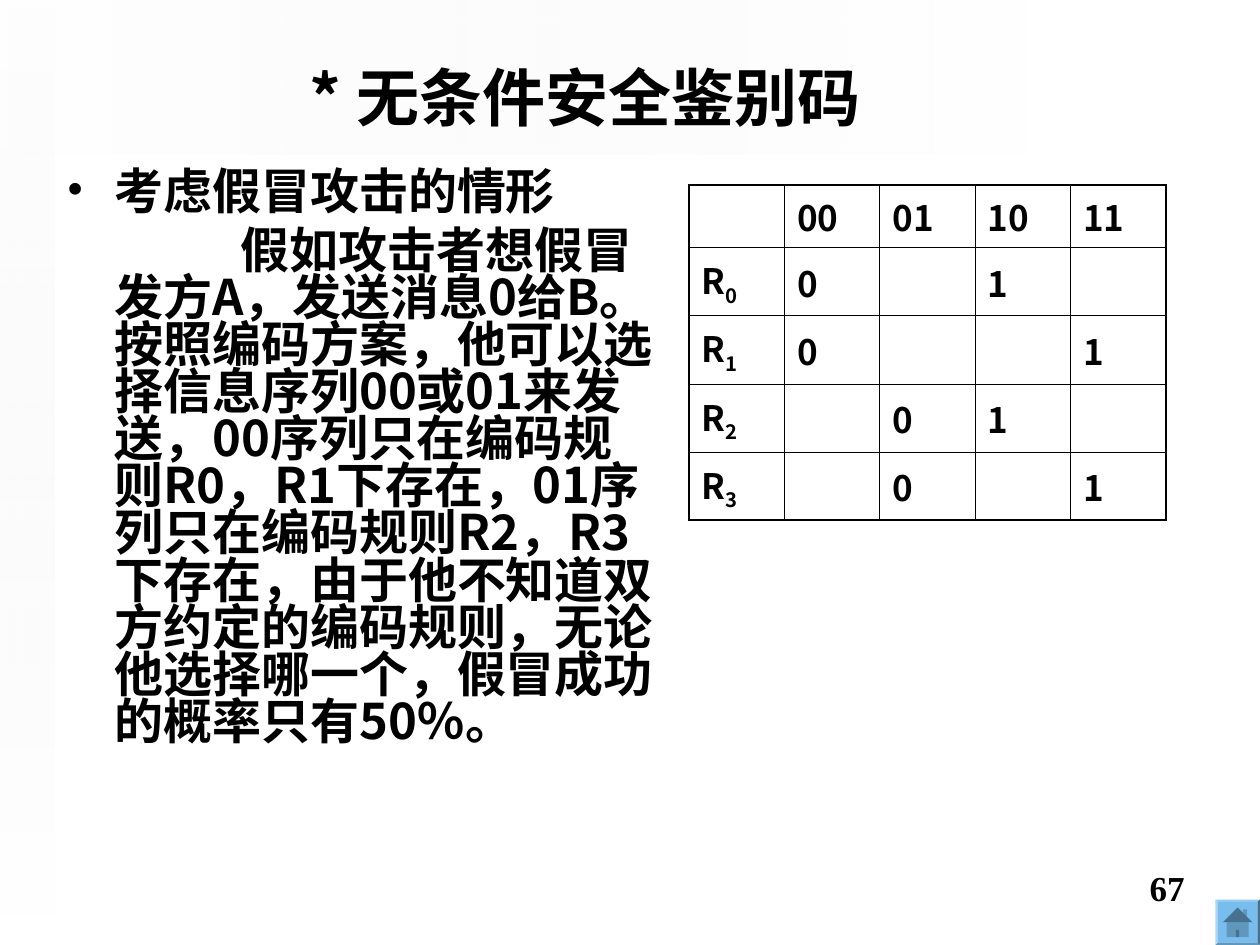
from dataclasses import dataclass

from lxml.etree import SubElement
from pptx import Presentation
from pptx.dml.color import RGBColor
from pptx.enum.shapes import MSO_SHAPE as Shape
from pptx.enum.text import MSO_ANCHOR as Anchor, MSO_AUTO_SIZE as Fit, PP_ALIGN as Align
from pptx.oxml.ns import qn
from pptx.util import Pt

SANS = "Noto Sans CJK SC"
SERIF = "Times New Roman"
BLACK = "000000"
THIN, THICK = 0.45, 1.08
MARGIN = 27.4


@dataclass
class Box:
    left: float
    top: float
    width: float
    height: float

    def place(self) -> list:
        return [Pt(v) for v in (self.left, self.top, self.width, self.height)]

    def inset(self, gap: float) -> "Box":
        return Box(self.left + gap, self.top + gap, self.width - 2 * gap, self.height - 2 * gap)


@dataclass
class Band:
    box: Box
    turn: int
    alpha: int


@dataclass
class Item:
    text: str
    indent: float
    bullet: bool
    before: float


BANDS = [
    Band(Box(249.12, -249.12, 88.56, 586.8), 90, 49),
    Band(Box(0, 0, 30.96, 522.72), 180, 65),
]
ITEMS = [
    Item("考虑假冒攻击的情形", -MARGIN, True, 0),
    Item("假如攻击者想假冒发方A，发送消息0给B。按照编码方案，他可以选择信息序列00或01来发送，"
         "00序列只在编码规则R0，R1下存在，01序列只在编码规则R2，R3下存在，"
         "由于他不知道双方约定的编码规则，无论他选择哪一个，假冒成功的概率只有50％。", 72, False, 7),
]
CODES = [
    ["", "00", "01", "10", "11"],
    ["R0", "0", "", "1", ""],
    ["R1", "0", "", "", "1"],
    ["R2", "", "0", "1", ""],
    ["R3", "", "0", "", "1"],
]


def color(code: str) -> RGBColor:
    return RGBColor.from_string(code)


def style(para, size: float, face: str = SANS) -> None:
    for run in para.runs:
        font = run.font
        font.size, font.name, font.bold = Pt(size), face, True
        font.color.rgb = color(BLACK)
        SubElement(run._r.get_or_add_rPr(), qn("a:ea"), typeface=face)


def draw_band(slide, band: Band) -> None:
    """Draw a strip that fades in from clear grey to half-clear white."""
    shape = slide.shapes.add_shape(Shape.RECTANGLE, *band.box.place())
    shape.rotation = band.turn
    shape.shadow.inherit = False
    shape.line.fill.background()
    shape.fill.gradient()
    shape.fill.gradient_angle = 90
    tones = (("EAEAEA", 0), ("FFFFFF", band.alpha))
    for stop, (code, alpha) in zip(shape.fill.gradient_stops, tones):
        stop.color.rgb = color(code)
    marks = shape._element.spPr.iter(qn("a:srgbClr"))
    for mark, (code, alpha) in zip(list(marks), tones):
        SubElement(mark, qn("a:alpha"), val=str(alpha * 1000))


def draw_home(slide, box: Box) -> None:
    edge = 1.5
    parts = ((Shape.BEVEL, box), (Shape.ACTION_BUTTON_HOME, box.inset(edge)))
    for kind, area in parts:
        shape = slide.shapes.add_shape(kind, *area.place())
        shape.shadow.inherit = False
        shape.fill.solid()
        shape.fill.fore_color.rgb = color("77BDED")
        shape.line.fill.background()
        if kind == Shape.BEVEL:
            shape.adjustments[0] = edge / box.width


def draw_title(slide, box: Box, text: str) -> None:
    title = slide.shapes.title
    title.left, title.top, title.width, title.height = box.place()
    slide.shapes._spTree.append(title._element)
    frame = title.text_frame
    frame.text = text
    frame.auto_size = Fit.NONE
    frame.vertical_anchor = Anchor.MIDDLE
    para = frame.paragraphs[0]
    para.alignment = Align.CENTER
    style(para, 36)


def draw_body(slide, box: Box, items: list[Item]) -> None:
    frame = slide.shapes.add_textbox(*box.place()).text_frame
    frame.word_wrap = True
    for num, item in enumerate(items):
        para = frame.add_paragraph() if num else frame.paragraphs[0]
        para.text = item.text
        props = para._p.get_or_add_pPr()
        props.set("marL", str(Pt(MARGIN)))
        props.set("indent", str(Pt(item.indent)))
        props.set("hangingPunct", "0")
        if item.bullet:
            SubElement(props, qn("a:buFont"), typeface=SERIF)
            SubElement(props, qn("a:buChar"), char="•")
        para.line_spacing = 0.8
        para.space_before = Pt(item.before)
        style(para, 28)


def draw_edges(cell, widths: dict[str, float]) -> None:
    props = cell._tc.get_or_add_tcPr()
    for side, width in widths.items():
        line = SubElement(props, qn(f"a:ln{side}"), w=str(Pt(width)))
        fill = SubElement(line, qn("a:solidFill"))
        SubElement(fill, qn("a:srgbClr"), val=BLACK)


def fill_cell(cell, text: str) -> None:
    cell.vertical_anchor = Anchor.MIDDLE
    para = cell.text_frame.paragraphs[0]
    if text.startswith("R"):
        for part in text:
            para.add_run().text = part
        para.runs[1]._r.get_or_add_rPr().set("baseline", "-25000")
    elif text:
        para.text = text
    style(para, 20)


def draw_table(slide, box: Box, rows: list[list[str]]) -> None:
    last = len(rows) - 1
    table = slide.shapes.add_table(len(rows), len(rows[0]), *box.place()).table
    table.first_row = table.horz_banding = False
    for col in table.columns:
        col.width = Pt(box.width / len(rows[0]))
    for r, row in enumerate(rows):
        table.rows[r].height = Pt(38.9 if r else 36)
        for c, text in enumerate(row):
            cell = table.cell(r, c)
            draw_edges(cell, {
                "L": THIN if c else THICK,
                "R": THICK if c == len(row) - 1 else THIN,
                "T": THIN if r else THICK,
                "B": THICK if r == last else THIN,
            })
            cell.fill.background()
            fill_cell(cell, text)


def draw_page(slide, box: Box, text: str) -> None:
    frame = slide.shapes.add_textbox(*box.place()).text_frame
    frame.word_wrap = True
    frame.text = text
    para = frame.paragraphs[0]
    para.alignment = Align.RIGHT
    style(para, 20, SERIF)


def main() -> None:
    deck = Presentation()
    deck.slide_width, deck.slide_height = Pt(720), Pt(540)
    slide = deck.slides.add_slide(deck.slide_layouts[5])
    for band in BANDS:
        draw_band(slide, band)
    draw_home(slide, Box(694.5, 514, 25.5, 26))
    draw_title(slide, Box(19.5, 20, 629.5, 70), "* 无条件安全鉴别码")
    draw_body(slide, Box(31, 94.5, 351.5, 385), ITEMS)
    draw_table(slide, Box(393.84, 105.6, 272.4, 191.6), CODES)
    draw_page(slide, Box(516, 491.75, 168, 37.5), "67")
    deck.save("out.pptx")


if __name__ == "__main__":
    main()
